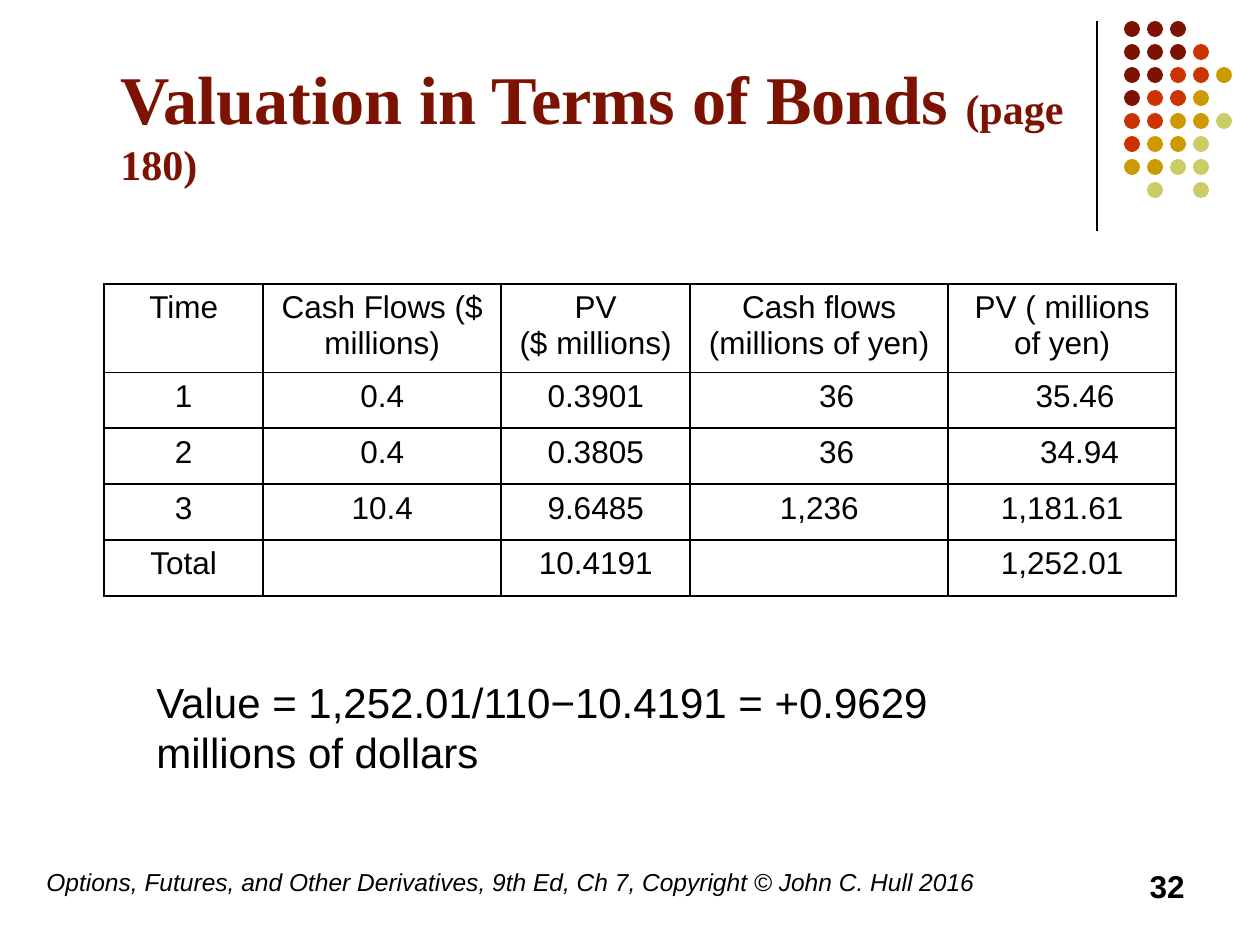
from lxml.etree import SubElement
from pptx import Presentation
from pptx.dml.color import RGBColor
from pptx.enum.shapes import MSO_CONNECTOR, MSO_SHAPE
from pptx.enum.text import MSO_ANCHOR, PP_ALIGN
from pptx.oxml.ns import qn
from pptx.util import Pt

EMU_PER_PX = 914400 / 126
BLACK, MAROON, RED, GOLD, OLIVE = "000000", "7C1302", "CC3300", "CC9900", "CCCC66"
DOT_COLOURS = {"M": MAROON, "R": RED, "G": GOLD, "O": OLIVE}
DOT_ROWS = ["MMM", "MMMR", "MMRRG", "MRRG", "RRGGO", "RGGO", "GGOO", " O O"]
COLUMN_WIDTHS = [159, 238, 189, 258, 228]
HEADER_HEIGHT, ROW_HEIGHT = 88, 56
CASH_FLOWS = [
    ["Time", "Cash Flows ($ millions)", "PV\n($ millions)",
     "Cash flows (millions of yen)", "PV ( millions of yen)"],
    ["1", "0.4", "0.3901", "36", "35.46"],
    ["2", "0.4", "0.3805", "36", "34.94"],
    ["3", "10.4", "9.6485", "1,236", "1,181.61"],
    ["Total", "", "10.4191", "", "1,252.01"],
]
DIGIT_INDENTS = {(1, 3): 35, (1, 4): 26, (2, 3): 35, (2, 4): 35}


def px(length):
    """Turn pixels into EMU."""
    return round(length * EMU_PER_PX)


def colour(hex_text):
    """Turn a hex string into a colour."""
    return RGBColor.from_string(hex_text)


def style(font, size, name="Arial", hex_text=BLACK, bold=False, italic=False):
    """Set the look of a font."""
    font.size, font.name, font.bold, font.italic = Pt(size), name, bold, italic
    font.color.rgb = colour(hex_text)


def add_text(page, box, text, size, align=PP_ALIGN.LEFT, **look):
    """Place one wrapped paragraph in a box."""
    frame = page.shapes.add_textbox(*map(px, box)).text_frame
    frame.word_wrap = True
    frame.text = text
    para = frame.paragraphs[0]
    para.alignment = align
    style(para.runs[0].font, size, **look)
    return frame


def add_title(page, box):
    """Place the heading with its smaller page reference."""
    look = {"name": "Times New Roman", "hex_text": MAROON, "bold": True}
    frame = add_text(page, box, "Valuation in Terms of Bonds ", 39, **look)
    frame.vertical_anchor = MSO_ANCHOR.BOTTOM
    span = frame.paragraphs[0].add_run()
    span.text = "(page 180)"
    style(span.font, 24, **look)


def add_corner(page, left, top):
    """Draw the vertical rule and the dot grid beside it."""
    rule = page.shapes.add_connector(
        MSO_CONNECTOR.STRAIGHT, px(left), px(top), px(left), px(top + 210))
    rule.line.color.rgb = colour(BLACK)
    rule.line.width = Pt(0.75)
    SubElement(rule.element.spPr, qn("a:effectLst"))
    pitch, size = 23, 16
    dots = page.shapes.add_group_shape()
    for row, letters in enumerate(DOT_ROWS):
        for column, letter in enumerate(letters):
            if letter == " ":
                continue
            dot = dots.shapes.add_shape(
                MSO_SHAPE.OVAL, px(left + 27 + column * pitch),
                px(top + row * pitch), px(size), px(size))
            dot.shadow.inherit = False
            dot.fill.solid()
            dot.fill.fore_color.rgb = colour(DOT_COLOURS[letter])
            dot.line.fill.background()


def add_borders(cell):
    """Draw thin black lines round a cell."""
    properties = cell._tc.get_or_add_tcPr()
    for side in ("lnL", "lnR", "lnT", "lnB"):
        line = SubElement(properties, qn(f"a:{side}"), w=str(Pt(1)))
        fill = SubElement(line, qn("a:solidFill"))
        SubElement(fill, qn("a:srgbClr"), val=BLACK)


def add_cash_flow_table(page, left, top):
    """Place the table of cash flows and present values."""
    height = HEADER_HEIGHT + ROW_HEIGHT * (len(CASH_FLOWS) - 1)
    table = page.shapes.add_table(
        len(CASH_FLOWS), len(COLUMN_WIDTHS), px(left), px(top),
        px(sum(COLUMN_WIDTHS)), px(height)).table
    table.first_row = table.horz_banding = False
    for column, width in zip(table.columns, COLUMN_WIDTHS):
        column.width = px(width)
    for index, values in enumerate(CASH_FLOWS):
        table.rows[index].height = px(ROW_HEIGHT if index else HEADER_HEIGHT)
        for column, value in enumerate(values):
            cell = table.cell(index, column)
            cell.text = value
            cell.margin_left = px(13 + DIGIT_INDENTS.get((index, column), 0))
            add_borders(cell)
            cell.fill.background()
            for para in cell.text_frame.paragraphs:
                para.alignment = PP_ALIGN.CENTER
                style(para.font, 18)
                for span in para.runs:
                    style(span.font, 18)


def add_footer(page, left, top):
    """Place the copyright line and the page number."""
    add_text(page, (left, top, 1042, 63),
             "Options, Futures, and Other Derivatives, 9th Ed, Ch 7, "
             "Copyright © John C. Hull 2016", 14, italic=True)
    add_text(page, (left + 869, top, 294, 63), "32", 18, PP_ALIGN.RIGHT, bold=True)


def main():
    """Build and save the deck."""
    deck = Presentation()
    deck.slide_width, deck.slide_height = px(1260), px(945)
    page = deck.slides.add_slide(deck.slide_layouts[6])
    add_corner(page, 1097, 21)
    add_title(page, (108, 38, 984, 157))
    add_footer(page, 34, 861)
    add_cash_flow_table(page, 104, 284)
    add_text(page, (144, 670, 942, 115),
             "Value = 1,252.01/110−10.4191 = +0.9629 millions of dollars", 24)
    deck.save("out.pptx")


if __name__ == "__main__":
    main()
